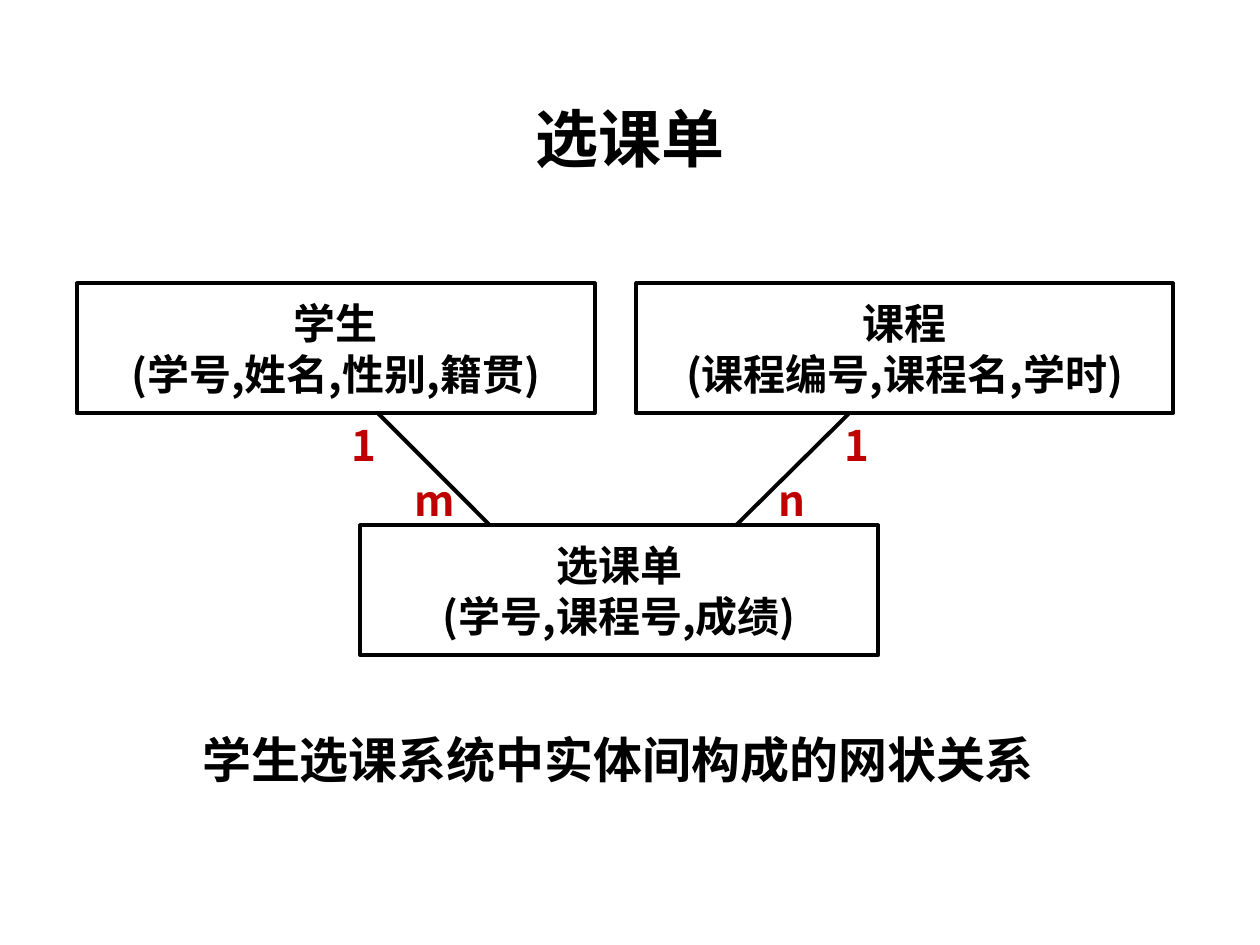
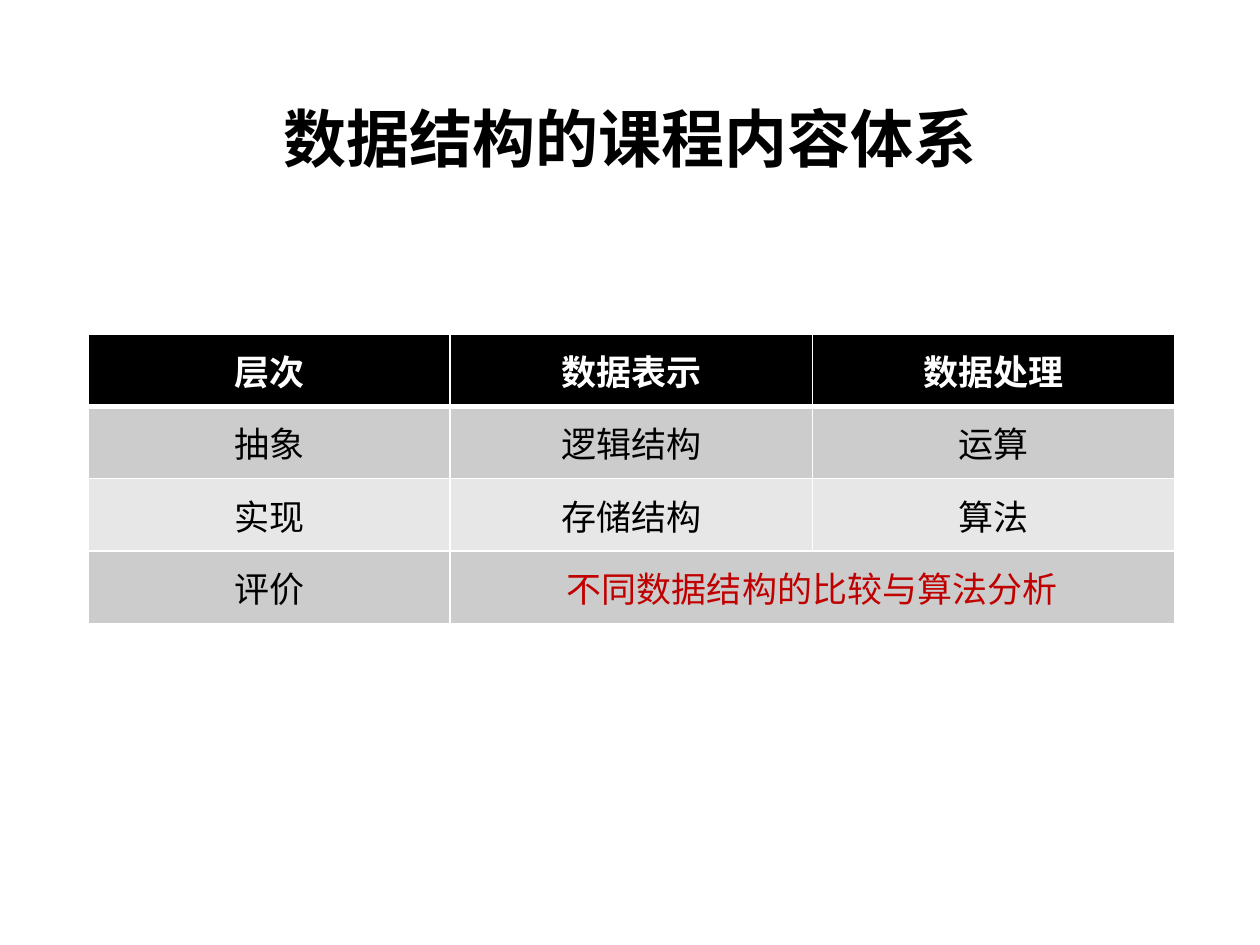
from lxml import etree
from pptx import Presentation
from pptx.dml.color import RGBColor
from pptx.enum.shapes import MSO_CONNECTOR, MSO_SHAPE
from pptx.enum.text import MSO_ANCHOR, PP_ALIGN
from pptx.oxml.ns import qn
from pptx.util import Inches, Pt

CENTER, LEFT = PP_ALIGN.CENTER, PP_ALIGN.LEFT
MIDDLE, TOP = MSO_ANCHOR.MIDDLE, MSO_ANCHOR.TOP
RECT, STRAIGHT = MSO_SHAPE.RECTANGLE, MSO_CONNECTOR.STRAIGHT

COLORS = {"ink": "000000", "paper": "FFFFFF", "accent": "C00000",
          "band_dark": "CCCCCC", "band_light": "E7E7E7"}
CJK_FONT, TABLE_FONT = "Noto Sans CJK SC", "Cabin"
TITLE_BOX = (0.69, 0.4, 8.62, 1.45)


def rgb(name):
    """Return the named colour of the palette."""
    return RGBColor.from_string(COLORS[name])


def style_paragraph(p, text, size, color="ink", bold=True, align=CENTER,
                    font=CJK_FONT, spacing=None):
    """Fill one paragraph and set its font and layout."""
    p.text = text
    p.alignment = align
    if spacing:
        p.line_spacing = spacing
    p.font.size = Pt(size)
    p.font.bold = bold
    p.font.color.rgb = rgb(color)
    p.font.name = font
    def_rpr = p._p.get_or_add_pPr().find(qn("a:defRPr"))
    etree.SubElement(def_rpr, qn("a:ea"), typeface=CJK_FONT)


def add_text(s, box, text, size, anchor=MIDDLE, wrap=True, **style):
    """Add a text box holding one paragraph."""
    tf = s.shapes.add_textbox(*map(Inches, box)).text_frame
    tf.word_wrap = wrap
    tf.vertical_anchor = anchor
    style_paragraph(tf.paragraphs[0], text, size, **style)


def add_title(s, text):
    """Add the slide title."""
    add_text(s, TITLE_BOX, text, 36, spacing=0.9)


def add_entity(s, box, name, fields):
    """Add an outlined entity box with its name above its fields."""
    sp = s.shapes.add_shape(RECT, *map(Inches, box))
    sp.shadow.inherit = False
    sp.fill.solid()
    sp.fill.fore_color.rgb = rgb("paper")
    sp.line.color.rgb = rgb("ink")
    sp.line.width = Pt(2.25)
    tf = sp.text_frame
    tf.word_wrap = True
    tf.vertical_anchor = MIDDLE
    tf.margin_left = tf.margin_right = 0
    style_paragraph(tf.paragraphs[0], name, 24)
    style_paragraph(tf.add_paragraph(), f"({','.join(fields)})", 24)


def add_relation(s, start, end):
    """Draw a plain line between two entities."""
    line = s.shapes.add_connector(STRAIGHT, *map(Inches, start + end))
    line.line.color.rgb = rgb("ink")
    line.line.width = Pt(2.25)
    etree.SubElement(line._element.spPr, qn("a:effectLst"))


def set_borders(cell, widths):
    """Draw white borders, given a width in points for each side."""
    tc_pr = cell._tc.get_or_add_tcPr()
    for side in "LRTB":
        ln = etree.SubElement(tc_pr, qn(f"a:ln{side}"), w=str(Pt(widths[side])))
        fill = etree.SubElement(ln, qn("a:solidFill"))
        etree.SubElement(fill, qn("a:srgbClr"), val=COLORS["paper"])


def add_content_table(s, box, rows):
    """Add the banded table, whose short last row spans the other columns."""
    n_rows, n_cols = len(rows), len(rows[0])
    table = s.shapes.add_table(n_rows, n_cols, *map(Inches, box)).table
    for i, row in enumerate(rows):
        header = i == 0
        fill = "ink" if header else ("band_light", "band_dark")[i % 2]
        for j in range(n_cols):
            cell = table.cell(i, j)
            set_borders(cell, {"L": 1, "R": 1, "T": 3 if i == 1 else 1,
                               "B": 3 if header else 1})
            cell.fill.solid()
            cell.fill.fore_color.rgb = rgb(fill)
            cell.vertical_anchor = MIDDLE
            if j < len(row):
                spans = j == len(row) - 1 < n_cols - 1
                color = "paper" if header else "accent" if spans else "ink"
                style_paragraph(cell.text_frame.paragraphs[0], row[j], 20,
                                color, bold=header, font=TABLE_FONT)
                if spans:
                    cell.merge(table.cell(i, n_cols - 1))


def build_enrolment_slide(s):
    """Build the entity diagram of course enrolment."""
    add_title(s, "选课单")
    add_relation(s, (6.74, 3.28), (5.83, 4.18))
    add_relation(s, (3, 3.28), (3.88, 4.16))
    add_entity(s, (0.61, 2.25, 4.11, 1.03), "学生", ["学号", "姓名", "性别", "籍贯"])
    add_entity(s, (5.05, 2.25, 4.26, 1.03), "课程", ["课程编号", "课程名", "学时"])
    add_entity(s, (2.86, 4.17, 4.11, 1.03), "选课单", ["学号", "课程号", "成绩"])
    add_text(s, (0.28, 5.74, 9.25, 0.69), "学生选课系统中实体间构成的网状关系", 28,
             spacing=0.65)
    for x, y, w, text in [(2.69, 3.28, 0.39, "1"), (3.19, 3.72, 0.5, "m"),
                          (6.6, 3.28, 0.39, "1"), (6.08, 3.72, 0.4, "n")]:
        add_text(s, (x, y, w, 0.5), text, 24, anchor=TOP, wrap=False,
                 color="accent", align=LEFT)


def build_content_slide(s):
    """Build the table of course contents."""
    add_title(s, "数据结构的课程内容体系")
    add_content_table(s, (0.7, 2.65, 8.62, 2.3), [
        ("层次", "数据表示", "数据处理"),
        ("抽象", "逻辑结构", "运算"),
        ("实现", "存储结构", "算法"),
        ("评价", "不同数据结构的比较与算法分析"),
    ])


def main():
    """Build and save the presentation."""
    prs = Presentation()
    prs.slide_width, prs.slide_height = Inches(10), Inches(7.5)
    for build in (build_enrolment_slide, build_content_slide):
        build(prs.slides.add_slide(prs.slide_layouts[6]))
    prs.save("out.pptx")


if __name__ == "__main__":
    main()
